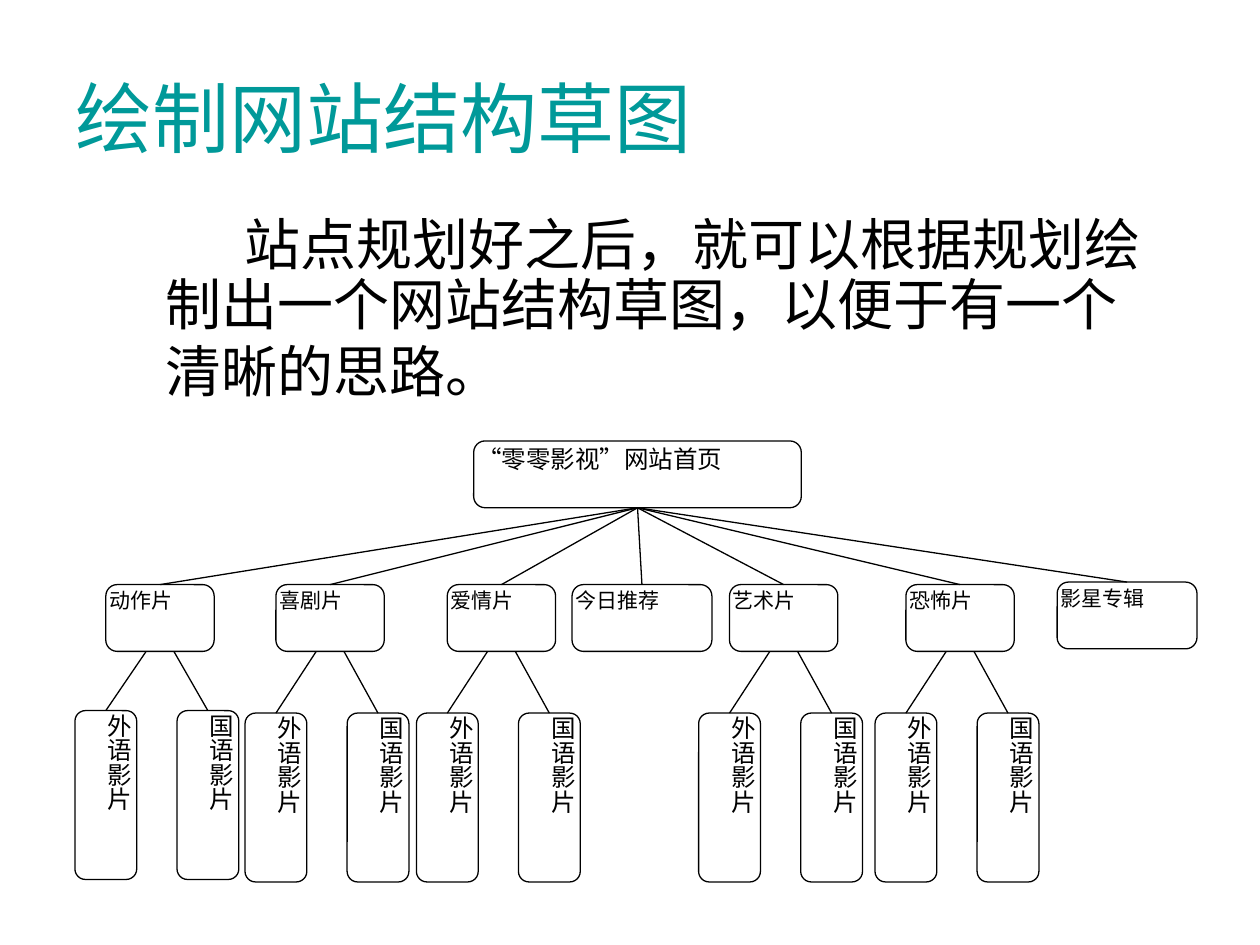
from pptx import Presentation
from pptx.dml.color import RGBColor
from pptx.enum import shapes, text
from pptx.oxml import xmlchemy
from pptx.util import Inches, Pt

TEAL = RGBColor(0x00, 0x99, 0x99)
BLACK = RGBColor(0, 0, 0)
WHITE = RGBColor(0xFF, 0xFF, 0xFF)

# Name, left, top, width and top of the leaves, in inches from the tree's corner
SECTIONS = [
    ("动作片", 0.26, 1.14, 0.86, 2.14),
    ("喜剧片", 1.61, 1.14, 0.86, 2.16),
    ("爱情片", 2.97, 1.14, 0.86, 2.16),
    ("今日推荐", 3.96, 1.14, 1.11, None),
    ("艺术片", 5.21, 1.14, 0.86, 2.16),
    ("恐怖片", 6.61, 1.14, 0.86, 2.16),
    ("影星专辑", 7.81, 1.12, 1.11, None),
]
# Name, offset of the leaf and of its line's start from the section's centre
LEAVES = [("外语影片", -0.43, -0.11), ("国语影片", 0.38, 0.11)]
BAR_H = 0.53
LEAF_W, LEAF_H = 0.49, 1.34


def write(p, words, size, font="Times New Roman", color=BLACK,
          align=text.PP_ALIGN.JUSTIFY):
    p.alignment = align
    r = p.add_run()
    r.text = words
    r.font.size = Pt(size)
    r.font.name = font
    r.font.color.rgb = color


def place(sp, left, top, width, height):
    sp.left, sp.top = Inches(left), Inches(top)
    sp.width, sp.height = Inches(width), Inches(height)


def heading(sp, box):
    place(sp, *box)
    tf = sp.text_frame
    tf.auto_size = text.MSO_AUTO_SIZE.NONE
    tf.vertical_anchor = text.MSO_ANCHOR.MIDDLE
    write(tf.paragraphs[0], "绘制网站结构草图", 44, "Arial", TEAL,
          text.PP_ALIGN.LEFT)


def intro(sp, box):
    place(sp, *box)
    tf = sp.text_frame
    tf.auto_size = text.MSO_AUTO_SIZE.NONE
    p = tf.paragraphs[0]
    pPr = p._p.get_or_add_pPr()
    pPr.set("marL", str(Inches(0.38)))
    pPr.set("indent", str(Inches(0.63)))
    pPr.append(xmlchemy.OxmlElement("a:buNone"))
    p.line_spacing = 0.9
    p.space_before = Pt(0)
    style = {"font": "Arial", "align": text.PP_ALIGN.LEFT}
    write(p, "站点规划好之后，就可以根据规划绘制出一个网站结构草图，"
             "以便于有一个清晰的思路。", 32, **style)
    write(p, " ", 36, **style)


def node(group, words, box, size, vertical=False):
    sp = group.shapes.add_shape(shapes.MSO_SHAPE.ROUNDED_RECTANGLE,
                                *map(Inches, box))
    sp.adjustments[0] = 0.17
    sp.shadow.inherit = False
    sp.fill.solid()
    sp.fill.fore_color.rgb = WHITE
    sp.line.color.rgb = BLACK
    sp.line.width = Pt(0.75)
    tf = sp.text_frame
    tf.word_wrap = True
    tf.margin_left = tf.margin_right = tf.margin_top = tf.margin_bottom = 0
    tf.vertical_anchor = text.MSO_ANCHOR.TOP
    align = text.PP_ALIGN.JUSTIFY
    if vertical:
        tf._txBody.bodyPr.set("vert", "eaVert")
        align = text.PP_ALIGN.CENTER
    write(tf.paragraphs[0], words, size, align=align)
    return sp


def branch(group, parent, child, shift=0):
    """Line from the parent's bottom, shifted from its middle, to the child's top."""
    x = parent.left + parent.width // 2 + Inches(shift)
    y = parent.top + parent.height
    line = group.shapes.add_connector(shapes.MSO_CONNECTOR.STRAIGHT, x, y, x, y)
    if not shift:
        line.begin_connect(parent, 2)
    line.end_connect(child, 0)
    line.line.color.rgb = BLACK
    line.line.width = Pt(0.75)
    line._element.spPr.append(xmlchemy.OxmlElement("a:effectLst"))


def site_tree(s, left, top):
    group = s.shapes.add_group_shape()
    root = node(group, "“零零影视”网站首页", (left + 3.18, top, 2.6, BAR_H), 14)
    for name, x, y, width, leaf_top in SECTIONS:
        section = node(group, name, (left + x, top + y, width, BAR_H), 12)
        branch(group, root, section)
        if leaf_top is None:
            continue
        middle = left + x + width / 2
        for leaf_name, offset, shift in LEAVES:
            box = (middle + offset - LEAF_W / 2, top + leaf_top, LEAF_W, LEAF_H)
            leaf = node(group, leaf_name, box, 14, vertical=True)
            branch(group, section, leaf, shift)


def main():
    prs = Presentation()
    prs.slide_width, prs.slide_height = Inches(10), Inches(7.5)
    s = prs.slides.add_slide(prs.slide_layouts[1])
    heading(s.shapes.title, (0.5, 0.3, 9, 1.25))
    intro(s.placeholders[1], (0.83, 1.67, 8.33, 2.08))
    site_tree(s, 0.58, 3.5)
    prs.save("out.pptx")


if __name__ == "__main__":
    main()
